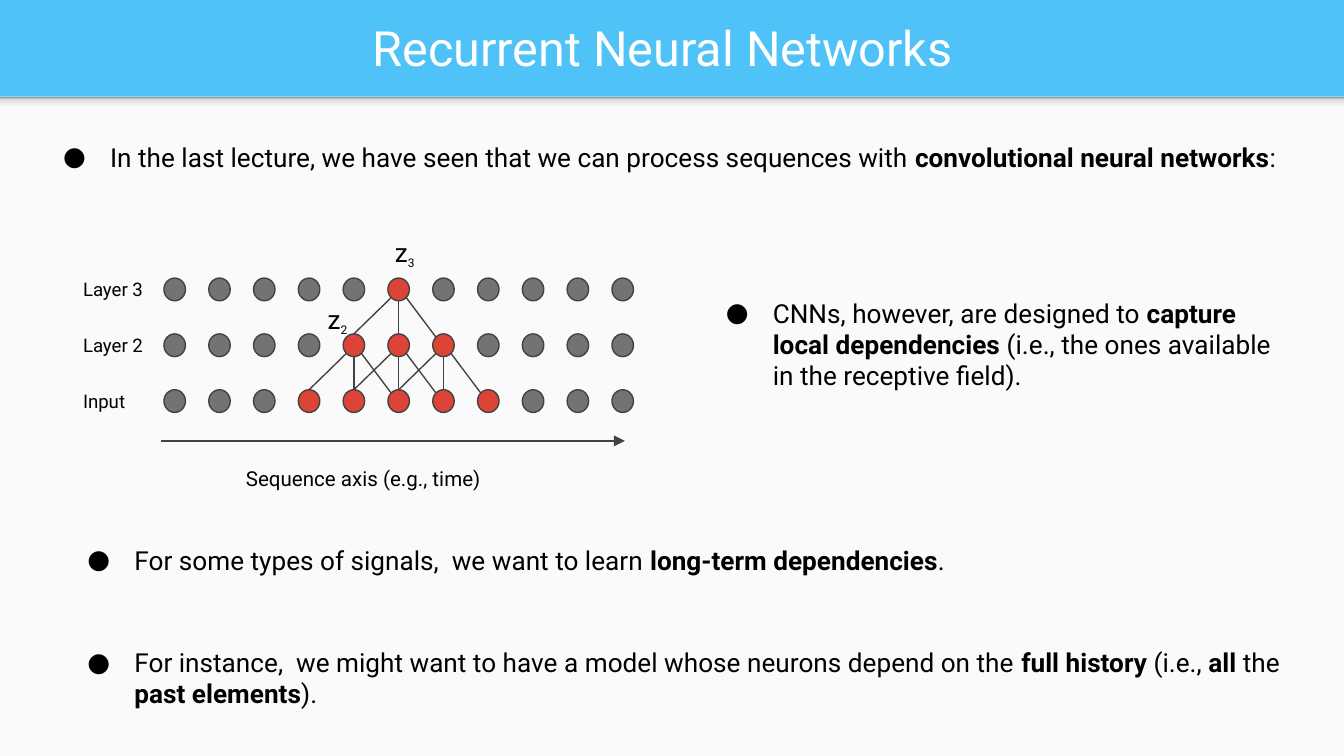
from lxml import etree
from pptx import Presentation
from pptx import util as u
from pptx.dml import color
from pptx.enum import shapes, text
from pptx.oxml import ns

Pt = u.Pt
BLACK, WHITE, PAPER, SKY = "000000", "FFFFFF", "FAFAFA", "4FC3F7"
GRAY, RED, EDGE = "737373", "DB4437", "424242"
FADE = [(0, "F9F9F9"), (36, "F9F9F9"), (80, "DEDEDE"), (100, "999999")]


def rgb(code):
    """Turn a hex string into a colour."""
    return color.RGBColor.from_string(code)


def sub(parent, tag, **attrs):
    """Append a drawing element to its parent."""
    return etree.SubElement(parent, ns.qn(tag), attrs)


class Deck:
    """Hold the style and the current slide."""

    def __init__(self, font, width, height):
        """Open a slide with a title and four bodies."""
        self.font = font
        self.show = Presentation()
        self.show.slide_width, self.show.slide_height = Pt(width), Pt(height)
        self.slide = self.show.slides.add_slide(self.show.slide_layouts[4])
        self.items = self.slide.shapes
        self.holds = list(self.slide.placeholders)

    def back(self, fill):
        """Colour the slide background."""
        paint = self.slide.background.fill
        paint.solid()
        paint.fore_color.rgb = rgb(fill)

    def style(self, run, size, ink=BLACK, bold=False):
        """Format one run."""
        face = run.font
        face.name, face.size, face.bold = self.font, Pt(size), bold
        face.color.rgb = rgb(ink)

    def frame(self, item, anchor=text.MSO_ANCHOR.TOP):
        """Set the margins and wrapping of a text frame."""
        frame = item.text_frame
        frame.auto_size, frame.word_wrap = text.MSO_AUTO_SIZE.NONE, True
        frame.vertical_anchor = anchor
        frame.margin_left = frame.margin_right = Pt(7.2)
        frame.margin_top = frame.margin_bottom = Pt(7.2)
        return frame

    def claim(self, left, top, width, height):
        """Place the next placeholder in front."""
        hold = self.holds.pop(0)
        hold.left, hold.top = Pt(left), Pt(top)
        hold.width, hold.height = Pt(width), Pt(height)
        self.items._spTree.append(hold._element)
        return hold

    def title(self, words, *box):
        """Fill the title placeholder."""
        frame = self.frame(self.claim(*box), text.MSO_ANCHOR.MIDDLE)
        frame.text = words
        para = frame.paragraphs[0]
        para.alignment = text.PP_ALIGN.CENTER
        self.style(para.runs[0], 26, WHITE)

    def bullet(self, words, *box):
        """Fill a body placeholder, with bold between double stars."""
        para = self.frame(self.claim(*box)).paragraphs[0]
        props = para._p.get_or_add_pPr()
        props.set("marL", str(Pt(36)))
        props.set("indent", str(-Pt(25.2)))
        sub(sub(props, "a:buClr"), "a:srgbClr", val=BLACK)
        sub(props, "a:buFont", typeface=self.font)
        sub(props, "a:buChar", char="●")
        para.space_before = Pt(0)
        for spot, words in enumerate(words.split("**")):
            run = para.add_run()
            run.text = words
            self.style(run, 14, bold=spot % 2 == 1)

    def label(self, words, size, left, top, width, height, low=""):
        """Add a text box with an optional subscript."""
        item = self.items.add_textbox(Pt(left), Pt(top), Pt(width), Pt(height))
        frame = self.frame(item)
        frame.text = words
        para = frame.paragraphs[0]
        self.style(para.runs[0], size)
        if low:
            run = para.add_run()
            run.text = low
            self.style(run, 11)
            run.font._element.set("baseline", "-25000")

    def shape(self, kind, left, top, width, height, fill, line=None):
        """Add a flat filled shape."""
        item = self.items.add_shape(kind, Pt(left), Pt(top), Pt(width), Pt(height))
        item.shadow.inherit = False
        item.fill.solid()
        item.fill.fore_color.rgb = rgb(fill)
        if line:
            item.line.color.rgb, item.line.width = rgb(line), Pt(0.75)
        else:
            item.line.fill.background()
        return item

    def shade(self, item, stops, angle):
        """Give a shape a linear gradient."""
        item.fill.gradient()
        item.fill.gradient_angle = angle
        ramp = item._element.spPr.find(".//" + ns.qn("a:gsLst"))
        for stop in list(ramp):
            ramp.remove(stop)
        for place, code in stops:
            stop = sub(ramp, "a:gs", pos=str(place * 1000))
            sub(stop, "a:srgbClr", val=code)

    def line(self, x1, y1, x2, y2, arrow=False):
        """Add a thin straight line."""
        kind = shapes.MSO_CONNECTOR.STRAIGHT
        item = self.items.add_connector(kind, Pt(x1), Pt(y1), Pt(x2), Pt(y2))
        item.line.color.rgb, item.line.width = rgb(EDGE), Pt(0.75)
        props = item._element.spPr
        if arrow:
            sub(props.find(ns.qn("a:ln")), "a:tailEnd", type="triangle")
        sub(props, "a:effectLst")


def network(deck):
    """Draw the layers, their links and the sequence axis."""
    wide, high, pitch, step = 11.5, 12.2, 24, 29.9
    mid, first = 93.6, 149
    layers = [("Layer 3", range(5, 6)), ("Layer 2", range(4, 7)), ("Input", range(3, 8))]
    for row, (name, active) in enumerate(layers):
        top = first + row * step
        for col in range(11):
            fill = RED if col in active else GRAY
            left = mid + col * pitch - wide / 2
            deck.shape(shapes.MSO_SHAPE.OVAL, left, top, wide, high, fill, EDGE)
        deck.label(name, 10, 37.4, top - 7.2, 49, 26.6)
    for row, (name, active) in enumerate(layers[:-1]):
        base = first + row * step + high
        below = first + (row + 1) * step
        for col in active:
            x = mid + col * pitch
            deck.line(x - pitch, below, x - 4, base - 1.8)
            deck.line(x, base, x, below)
            deck.line(x + 4, base - 1.8, x + pitch - 4, below + 1.8)
    deck.label("z", 14, 204.5, 119.5, 53.3, 31.7, "3")
    deck.label("z", 14, 168.5, 155.5, 53.3, 31.7, "2")
    deck.line(86.4, 236.2, 334.8, 236.2, True)
    deck.label("Sequence axis (e.g., time)", 11, 124.6, 242.6, 145.4, 28)


def main():
    """Build the slide and save it."""
    deck = Deck("Roboto", 720, 405)
    deck.back(SKY)
    box = shapes.MSO_SHAPE.RECTANGLE
    deck.shape(box, 0, 51.8, 720, 353.2, PAPER)
    deck.shade(deck.shape(box, 0, 51.8, 720, 8.6, PAPER), FADE, 90)
    deck.title("Recurrent Neural Networks", 7.9, 1.4, 694.8, 47.5)
    deck.bullet("In the last lecture, we have seen that we can process sequences with "
                "**convolutional neural networks**:", 15.8, 68.4, 678.2, 31.7)
    network(deck)
    deck.bullet("CNNs, however, are designed to **capture local dependencies** "
                "(i.e., the ones available in the receptive field).",
                370.8, 151.9, 318.2, 65.5)
    deck.bullet("For some types of signals,  we want to learn "
                "**long-term dependencies**.", 28.8, 284.4, 667.4, 31.7)
    deck.bullet("For instance,  we might want to have a model whose neurons depend on the "
                "**full history** (i.e., **all **the** past elements**).",
                28.8, 339.1, 673.9, 48.2)
    deck.show.save("out.pptx")


if __name__ == "__main__":
    main()
